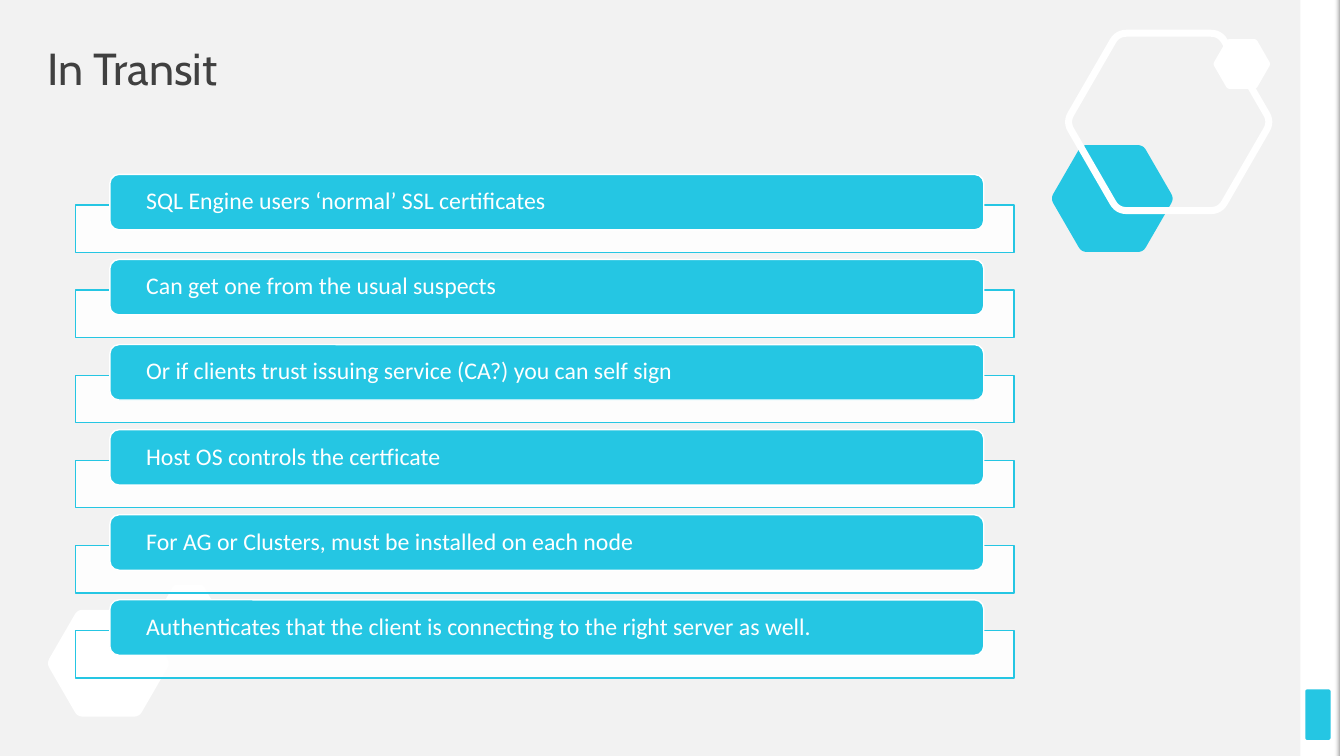
from math import cos, pi, sin, sqrt

from lxml.etree import SubElement
from pptx import Presentation
from pptx.dml.color import RGBColor
from pptx.enum.shapes import MSO_SHAPE
from pptx.enum.text import MSO_ANCHOR, PP_ALIGN
from pptx.oxml.ns import qn
from pptx.util import Inches, Pt

# Grid of square cells, 12 to the inch
COLS, ROWS = 160, 90
CYAN, WHITE, PALE, GREY, DARK = "25C6E3", "FFFFFF", "F2F2F2", "A6A6A6", "404040"

POINTS = [
    "SQL Engine users ‘normal’ SSL certificates",
    "Can get one from the usual suspects",
    "Or if clients trust issuing service (CA?) you can self sign",
    "Host OS controls the certficate",
    "For AG or Clusters, must be installed on each node",
    "Authenticates that the client is connecting to the right server as well.",
]
TOP, PITCH = 20.76, 10.13

# Centre column, centre row, height, fill, line
HEXES = [
    (12.9, 78.96, 12.72, WHITE, None),
    (132.42, 23.64, 12.72, CYAN, None),
    (139.14, 14.52, 21.12, None, WHITE),
    (22.44, 72.6, 5.94, WHITE, None),
    (147.84, 7.62, 5.94, WHITE, None),
]


def cell(n):
    return Inches(n / 12)


def tint(text):
    return RGBColor.from_string(text)


def fade(color, share):
    """Set the opacity of a colour element, in percent."""
    SubElement(color, qn("a:alpha")).set("val", str(share * 1000))


def paint(shape, fill, line=None, width=1):
    shape.shadow.inherit = False
    if fill:
        shape.fill.solid()
        shape.fill.fore_color.rgb = tint(fill)
    else:
        shape.fill.background()
    if line:
        shape.line.color.rgb = tint(line)
        shape.line.width = Pt(width)
    else:
        shape.line.fill.background()


def block(slide, kind, x, y, w, h, fill, line=None):
    shape = slide.shapes.add_shape(kind, cell(x), cell(y), cell(w), cell(h))
    paint(shape, fill, line)
    return shape


def write(shape, text, font, size, color, inset=0):
    frame = shape.text_frame
    frame.word_wrap = True
    frame.vertical_anchor = MSO_ANCHOR.MIDDLE
    frame.margin_left = frame.margin_right = cell(inset)
    frame.margin_top = frame.margin_bottom = 0
    para = frame.paragraphs[0]
    para.alignment = PP_ALIGN.LEFT
    para.line_spacing = 0.9
    run = para.add_run()
    run.text = text
    run.font.name = font
    run.font.size = Pt(size)
    run.font.color.rgb = tint(color)


def hexagon(slide, x, y, high, fill, line):
    """Draw a regular hexagon whose corners are rounded by short curves."""
    reach, cut, steps = high / sqrt(3), 0.09, 6
    tips = [(x + reach * cos(k * pi / 3), y + reach * sin(k * pi / 3))
            for k in range(6)]
    dots = []
    for k, tip in enumerate(tips):
        start, end = ([t + cut * (n - t) for t, n in zip(tip, near)]
                      for near in (tips[k - 1], tips[(k + 1) % 6]))
        for step in range(steps + 1):
            u = step / steps
            dots.append(tuple(
                cell((1 - u) ** 2 * a + 2 * u * (1 - u) * b + u * u * c)
                for a, b, c in zip(start, tip, end)))
    pen = slide.shapes.build_freeform(*dots[0])
    pen.add_line_segments(dots[1:], close=True)
    paint(pen.convert_to_shape(), fill, line, 5)


def edge(slide):
    """Draw the band and the soft strip along the right side."""
    block(slide, MSO_SHAPE.RECTANGLE, 154.8, 0, 4.68, ROWS, WHITE)
    tab = block(slide, MSO_SHAPE.ROUNDED_RECTANGLE, 155.4, 82.08, 3, 6, CYAN)
    tab.adjustments[0] = 0.07
    block(slide, MSO_SHAPE.RECTANGLE, 159.42, 0, 0.58, ROWS, WHITE)
    strip = block(slide, MSO_SHAPE.RECTANGLE, 158.82, 0, 0.6, ROWS, WHITE)
    strip.fill.gradient()
    strip.fill.gradient_angle = 0
    for stop, color in zip(strip.fill.gradient_stops, (PALE, GREY)):
        stop.color.rgb = tint(color)
    fade(next(strip.element.iter(qn("a:srgbClr"))), 0)


def point(slide, y, text):
    """Draw one list item: a frame with a bar over its upper edge."""
    frame = block(slide, MSO_SHAPE.RECTANGLE, 9, y + 3.66, 111.72, 5.64,
                  WHITE, CYAN)
    fade(next(frame.element.iter(qn("a:srgbClr"))), 90)
    bar = block(slide, MSO_SHAPE.ROUNDED_RECTANGLE, 13.08, y, 104.04, 6.6,
                CYAN, WHITE)
    write(bar, text, "Calibri", 17, WHITE, 4)


def main():
    deck = Presentation()
    deck.slide_width, deck.slide_height = cell(COLS), cell(ROWS)
    slide = deck.slides.add_slide(deck.slide_layouts[6])
    slide.background.fill.solid()
    slide.background.fill.fore_color.rgb = tint(PALE)

    # Decoration
    edge(slide)
    for item in HEXES:
        hexagon(slide, *item)

    # Title
    title = slide.shapes.add_textbox(cell(5.64), cell(5.64), cell(148.68),
                                     cell(5.64))
    write(title, "In Transit", "Cabin", 32, DARK)

    # List
    for row, text in enumerate(POINTS):
        point(slide, TOP + row * PITCH, text)

    deck.save("out.pptx")


if __name__ == "__main__":
    main()
